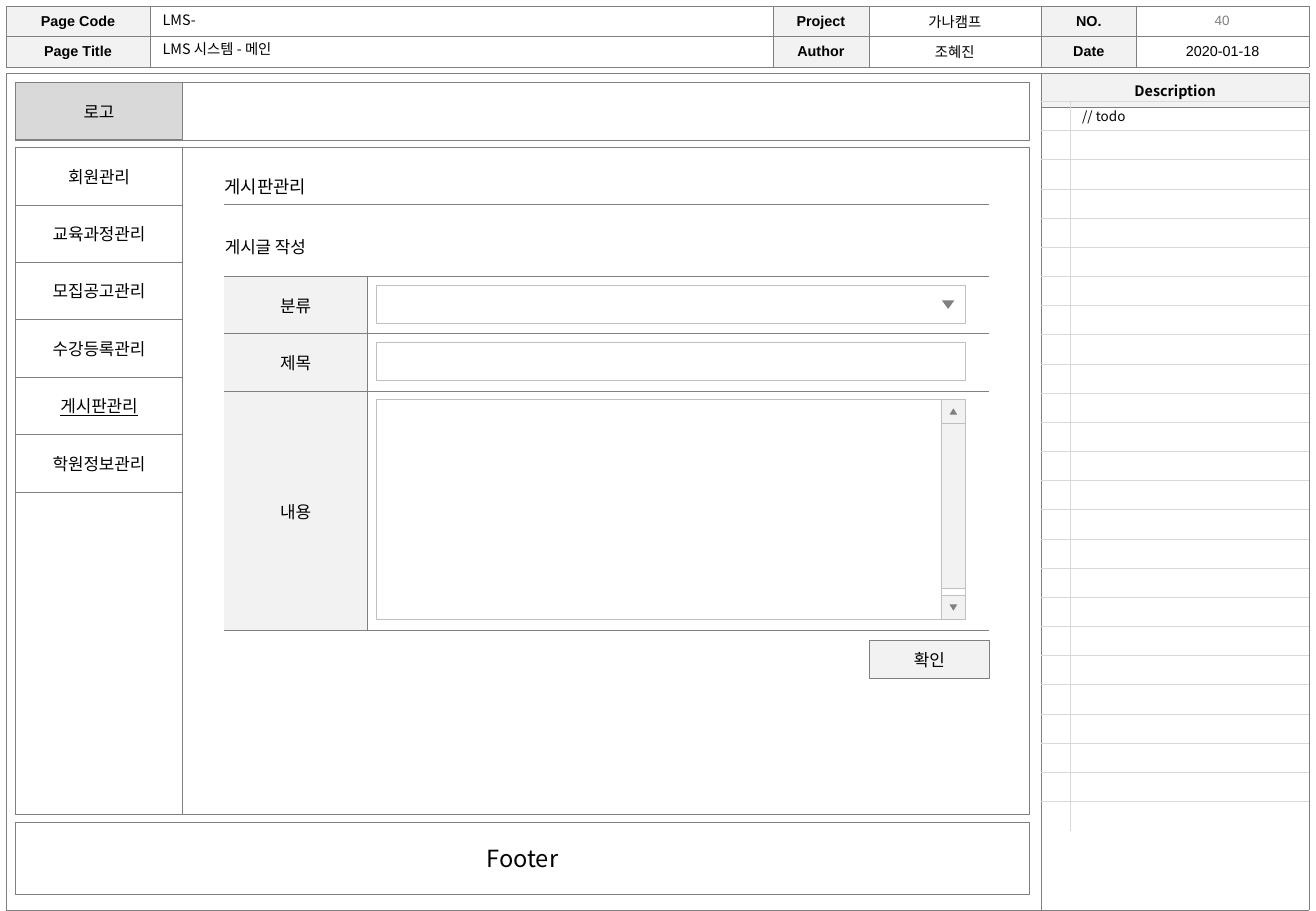
from dataclasses import dataclass
from typing import Any, Optional

from lxml.etree import SubElement
from pptx import Presentation
from pptx.dml.color import RGBColor
from pptx.enum.shapes import MSO_CONNECTOR, MSO_SHAPE
from pptx.enum.text import MSO_ANCHOR, PP_ALIGN
from pptx.oxml import parse_xml
from pptx.oxml.ns import nsdecls, qn
from pptx.util import Cm, Pt


@dataclass(frozen=True)
class Theme:
    black: str = "000000"
    white: str = "FFFFFF"
    pale: str = "F2F2F2"
    logo: str = "D9D9D9"
    rule: str = "D9D9D9"
    field: str = "BFBFBF"
    frame: str = "808080"
    number: str = "7F7F7F"
    latin: str = "Arial"
    korean: str = "Noto Sans CJK KR"
    note: float = 8
    caption: float = 8.5
    body: float = 10
    heading: float = 10.5
    footer: float = 14


THEME = Theme()


@dataclass(frozen=True)
class Box:
    left: float
    top: float
    width: float
    height: float
    fill: str = THEME.white
    line: Optional[str] = THEME.frame
    text: str = ""
    size: float = THEME.body
    underline: bool = False
    weight: float = 0.5
    preset: MSO_SHAPE = MSO_SHAPE.RECTANGLE
    rotation: float = 0


@dataclass(frozen=True)
class Label:
    left: float
    top: float
    width: float
    height: float
    text: str
    size: float = THEME.caption
    font: str = THEME.korean
    color: str = THEME.black
    align: PP_ALIGN = PP_ALIGN.LEFT
    wrap: bool = True


@dataclass(frozen=True)
class CellStyle:
    text: str = ""
    fill: Optional[str] = None
    sides: str = "LRTB"
    line: str = THEME.frame
    weight: float = 0.5
    size: float = THEME.body
    font: str = THEME.korean
    bold: bool = False
    align: PP_ALIGN = PP_ALIGN.CENTER
    anchor: MSO_ANCHOR = MSO_ANCHOR.MIDDLE
    margin: Optional[float] = None
    padding: float = 0.13


def write_text(frame: Any, text: str, *, size: float, font: str = THEME.korean,
               color: str = THEME.black, bold: bool = False, underline: bool = False,
               align: PP_ALIGN = PP_ALIGN.CENTER) -> None:
    paragraph = frame.paragraphs[0]
    paragraph.alignment = align
    if not text:
        paragraph._p.get_or_add_endParaRPr().set("sz", str(int(size * 100)))
        return
    run = paragraph.add_run()
    run.text = text
    run.font.size = Pt(size)
    run.font.name = font
    run.font.bold = bold
    run.font.underline = underline
    run.font.color.rgb = RGBColor.from_string(color)
    SubElement(run.font._element, qn("a:ea")).set("typeface", THEME.korean)


def draw_box(slide: Any, box: Box) -> None:
    shape = slide.shapes.add_shape(box.preset, Cm(box.left), Cm(box.top),
                                   Cm(box.width), Cm(box.height))
    shape.shadow.inherit = False
    shape.rotation = box.rotation
    shape.fill.solid()
    shape.fill.fore_color.rgb = RGBColor.from_string(box.fill)
    if box.line:
        shape.line.color.rgb = RGBColor.from_string(box.line)
        shape.line.width = Pt(box.weight)
    else:
        shape.line.fill.background()
    if box.text:
        shape.text_frame.vertical_anchor = MSO_ANCHOR.MIDDLE
        write_text(shape.text_frame, box.text, size=box.size, underline=box.underline)


def draw_label(slide: Any, label: Label) -> None:
    shape = slide.shapes.add_textbox(Cm(label.left), Cm(label.top),
                                     Cm(label.width), Cm(label.height))
    shape.text_frame.word_wrap = label.wrap
    write_text(shape.text_frame, label.text, size=label.size, font=label.font,
               color=label.color, align=label.align)


def style_cell(cell: Any, style: CellStyle) -> None:
    cell.vertical_anchor = style.anchor
    cell.margin_top = cell.margin_bottom = Cm(style.padding)
    if style.margin is not None:
        cell.margin_left = cell.margin_right = Cm(style.margin)
    properties = cell._tc.get_or_add_tcPr()
    for side in "LRTB":
        paint = (f'<a:solidFill><a:srgbClr val="{style.line}"/></a:solidFill>'
                 if side in style.sides else "<a:noFill/>")
        properties.append(parse_xml(
            f'<a:ln{side} {nsdecls("a")} w="{Pt(style.weight)}">{paint}</a:ln{side}>'))
    if style.fill:
        cell.fill.solid()
        cell.fill.fore_color.rgb = RGBColor.from_string(style.fill)
    else:
        cell.fill.background()
    write_text(cell.text_frame, style.text, size=style.size, font=style.font,
               bold=style.bold, align=style.align)


def draw_table(slide: Any, left: float, top: float, widths: list[float],
               heights: list[float], rows: list[list[CellStyle]]) -> None:
    table = slide.shapes.add_table(len(heights), len(widths), Cm(left), Cm(top),
                                   Cm(sum(widths)), Cm(sum(heights))).table
    table.first_row = table.horz_banding = False
    for column, width in zip(table.columns, widths):
        column.width = Cm(width)
    for row, height, styles in zip(table.rows, heights, rows):
        row.height = Cm(height)
        for cell, style in zip(row.cells, styles):
            style_cell(cell, style)


def draw_page_frame(slide: Any) -> None:
    def blank(sides: str) -> CellStyle:
        return CellStyle(sides=sides, weight=0.25, size=THEME.note)

    description = CellStyle("Description", THEME.pale, weight=0.25, size=THEME.caption,
                            bold=True, anchor=MSO_ANCHOR.TOP)
    draw_table(slide, 0.13, 1.54, [21.64, 5.59], [0.41, 16.79],
               [[blank("LTR"), description], [blank("LRB"), blank("LRTB")]])
    page_rows = [["Page Code", "", "Project", "가나캠프", "NO.", ""],
                 ["Page Title", "", "Author", "조혜진", "Date", "2020-01-18"]]
    draw_table(slide, 0.13, 0.13, [3, 13.03, 2, 3.6, 2, 3.6], [0.63, 0.63],
               [[CellStyle(text, THEME.pale if index % 2 == 0 else None, weight=0.25,
                           size=THEME.caption, font=THEME.latin, bold=index % 2 == 0,
                           margin=0.1, padding=0.1)
                 for index, text in enumerate(row)] for row in page_rows])
    draw_label(slide, Label(23.75, 0.13, 3.6, 0.6, "40", THEME.note, THEME.latin,
                            THEME.number, PP_ALIGN.CENTER))
    draw_label(slide, Label(3.15, 0.1, 13, 0.6, "LMS-"))
    draw_label(slide, Label(3.15, 0.72, 13, 0.6, "LMS 시스템 - 메인"))


def draw_description_rows(slide: Any) -> None:
    count = 25
    rows = []
    for index in range(count):
        bottom = "B" if index < count - 1 else ""
        rows.append([CellStyle(text, sides=sides + bottom, line=THEME.rule, size=THEME.note,
                               align=PP_ALIGN.LEFT, padding=0.08)
                     for text, sides in (("", "RT"), ("" if index else "// todo", "LT"))])
    draw_table(slide, 21.76, 2.12, [0.6, 5], [0.61] * count, rows)


def draw_layout(slide: Any) -> None:
    draw_box(slide, Box(3.82, 3.09, 17.7, 13.95))
    draw_box(slide, Box(0.32, 17.2, 21.2, 1.5, text="Footer", size=THEME.footer))
    draw_box(slide, Box(0.32, 1.73, 21.2, 1.2))
    draw_box(slide, Box(0.32, 1.73, 3.5, 1.2, THEME.logo, text="로고", weight=0.75))
    draw_box(slide, Box(0.32, 3.09, 3.5, 13.95))
    menu = ["회원관리", "교육과정관리", "모집공고관리", "수강등록관리", "게시판관리", "학원정보관리"]
    for index, name in enumerate(menu):
        draw_box(slide, Box(0.32, 3.09 + 1.2 * index, 3.5, 1.2, text=name,
                            underline=name == "게시판관리"))


def draw_form(slide: Any) -> None:
    draw_label(slide, Label(4.45, 3.56, 2.4, 0.7, "게시판관리", THEME.heading, wrap=False))
    draw_label(slide, Label(4.45, 4.83, 2.4, 0.7, "게시글 작성", THEME.body, wrap=False))
    underline = slide.shapes.add_connector(MSO_CONNECTOR.STRAIGHT, Cm(4.68), Cm(4.28),
                                           Cm(20.68), Cm(4.28))
    underline.line.color.rgb = RGBColor.from_string(THEME.frame)
    underline.line.width = Pt(0.5)
    SubElement(underline._element.spPr, qn("a:effectLst"))
    draw_table(slide, 4.68, 5.78, [3, 13], [1.2, 1.2, 5],
               [[CellStyle(name, THEME.pale, "RTB"), CellStyle(sides="LTB")]
                for name in ("분류", "제목", "내용")])

    triangle = MSO_SHAPE.ISOSCELES_TRIANGLE
    for box in (
        Box(7.87, 5.97, 12.31, 0.8, line=THEME.field),
        Box(7.87, 7.16, 12.31, 0.8, line=THEME.field),
        Box(7.87, 8.36, 11.81, 4.59, line=THEME.field),
        Box(18.18, 13.39, 2.5, 0.8, THEME.pale, text="확인"),
        Box(19.68, 8.36, 0.5, 4.09, line=THEME.field),
        Box(19.68, 8.86, 0.5, 3.45, THEME.pale, THEME.field),
        Box(19.68, 8.36, 0.5, 0.5, THEME.pale, THEME.field),
        Box(19.68, 12.45, 0.5, 0.5, THEME.pale, THEME.field),
        Box(19.85, 8.54, 0.16, 0.13, THEME.frame, None, preset=triangle),
        Box(19.85, 12.64, 0.16, 0.13, THEME.frame, None, preset=triangle, rotation=180),
        Box(19.69, 6.28, 0.26, 0.18, THEME.frame, None, preset=triangle, rotation=180),
    ):
        draw_box(slide, box)


def main() -> None:
    presentation = Presentation()
    presentation.slide_width = Cm(27.51)
    presentation.slide_height = Cm(19.05)
    slide = presentation.slides.add_slide(presentation.slide_layouts[6])
    draw_page_frame(slide)
    draw_description_rows(slide)
    draw_layout(slide)
    draw_form(slide)
    presentation.save("out.pptx")


if __name__ == "__main__":
    main()
